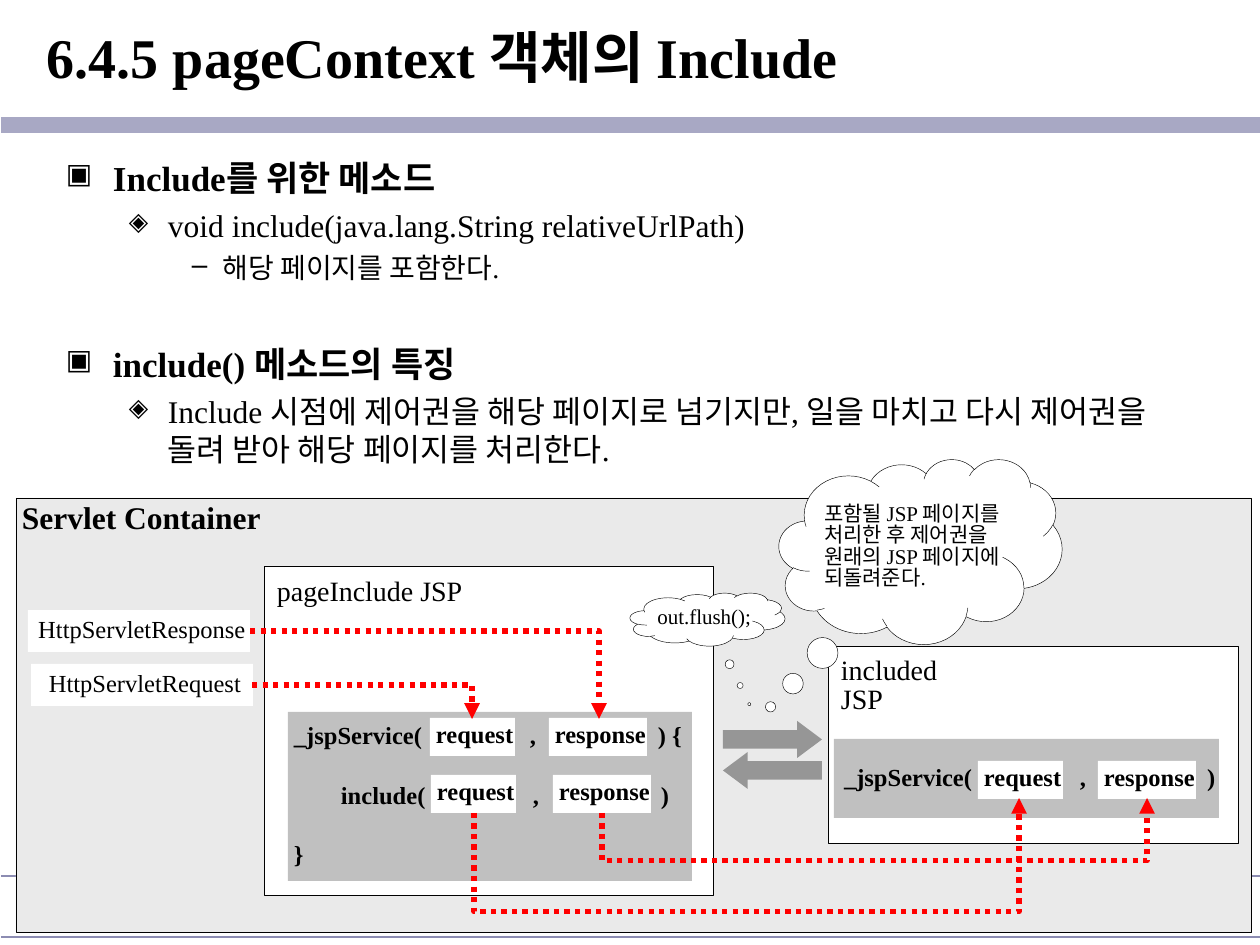
from pptx import Presentation
from pptx.dml.color import RGBColor
from pptx.enum.dml import MSO_LINE as Dash
from pptx.enum.shapes import MSO_CONNECTOR as Link, MSO_SHAPE as Shape
from pptx.enum.text import MSO_ANCHOR as Anchor, PP_ALIGN as Align
from pptx.oxml.ns import qn
from pptx.util import Pt
from lxml.etree import SubElement as Sub

SCALE = 914400 / 126
FONT = "Times New Roman"
BLACK, WHITE, RED = "000000", "FFFFFF", "FF0000"
PALE, SILVER, GRAY = "EAEAEA", "C0C0C0", "969696"
BAR, RULE = "A8A8C4", "8C8CB2"
INSET = (6, 6, 0, 6)


def px(n):
    return round(n * SCALE)


def color(code):
    return RGBColor.from_string(code)


def write(para, text, size, bold=False):
    run = para.add_run()
    run.text = text
    run.font.name = FONT
    run.font.size = Pt(size)
    run.font.bold = bold
    run.font.color.rgb = color(BLACK)


def set_frame(shape, inset=INSET, anchor=Anchor.TOP, wrap=True):
    frame = shape.text_frame
    frame.word_wrap = wrap
    frame.vertical_anchor = anchor
    (frame.margin_left, frame.margin_top,
     frame.margin_right, frame.margin_bottom) = map(px, inset)
    return frame


def add_tabs(para, stops):
    tabs = Sub(para._p.get_or_add_pPr(), qn("a:tabLst"))
    for stop in stops:
        Sub(tabs, qn("a:tab"), pos=str(px(stop)), algn="l")


def add_bullet(para, mark, percent, left, hang):
    props = para._p.get_or_add_pPr()
    props.set("marL", str(px(left)))
    props.set("indent", str(-px(hang)))
    Sub(Sub(props, qn("a:buClr")), qn("a:srgbClr"), val=BLACK)
    Sub(props, qn("a:buSzPct"), val=str(percent * 1000))
    Sub(props, qn("a:buChar"), char=mark)


def add_shape(slide, kind, box, fill, edge=False, adjust=()):
    shape = slide.shapes.add_shape(kind, *map(px, box))
    shape.shadow.inherit = False
    shape.fill.solid()
    shape.fill.fore_color.rgb = color(fill)
    if edge:
        shape.line.color.rgb = color(BLACK)
        shape.line.width = Pt(0.25)
    else:
        shape.line.fill.background()
    for i, value in enumerate(adjust):
        shape.adjustments[i] = value
    return shape


def add_label(shape, text, size, bold=False, anchor=Anchor.TOP,
              align=Align.LEFT, wrap=True):
    para = set_frame(shape, anchor=anchor, wrap=wrap).paragraphs[0]
    para.alignment = align
    para.line_spacing = 0.85
    write(para, text, size, bold)


def add_code(shape, lines, left=6):
    """Fill a code box; each line is (text, tab stops)."""
    frame = set_frame(shape, (left, 6, 0, 6), Anchor.MIDDLE)
    for i, (text, stops) in enumerate(lines):
        para = frame.add_paragraph() if i else frame.paragraphs[0]
        para.alignment = Align.LEFT
        para.line_spacing = 1.5 if i else 0.85
        if i:
            para.space_before = Pt(8.8)
        add_tabs(para, stops)
        write(para, text, 14, True)


def add_line(slide, kind, ends, hue, width):
    line = slide.shapes.add_connector(kind, *map(px, ends))
    line.line.color.rgb = color(hue)
    line.line.width = Pt(width)
    Sub(line._element.spPr, qn("a:effectLst"))
    return line


def add_arrow(slide, ends):
    arrow = add_line(slide, Link.ELBOW, ends, RED, 3)
    arrow.line.dash_style = Dash.ROUND_DOT
    Sub(arrow.line._get_or_add_ln(), qn("a:tailEnd"), type="triangle")
    return arrow._element.spPr


def add_corner(slide, ends):
    """Arrow that runs right, then down."""
    add_arrow(slide, ends).find(qn("a:prstGeom")).set("prst", "bentConnector2")


def add_loop(slide, x1, y1, x2, y2, low):
    """Arrow that runs down to low, right, then up: a turned elbow."""
    wide, tall = y1 - y2, x2 - x1
    left, top = (x1 + x2 - wide) / 2, (y1 + y2 - tall) / 2
    props = add_arrow(slide, (left, top, left + wide, top + tall))
    frame = props.find(qn("a:xfrm"))
    for key, value in (("rot", "5400000"), ("flipH", "1"), ("flipV", "1")):
        frame.set(key, value)
    guides = props.find(qn("a:prstGeom")).get_or_add_avLst()
    bend = round((y1 - low) / wide * 100000)
    Sub(guides, qn("a:gd"), name="adj1", fmla=f"val {bend}")


def add_text(slide):
    title = slide.shapes.add_textbox(*map(px, (47, 0, 1190, 113)))
    frame = set_frame(title, (0, 6, 0, 6), Anchor.MIDDLE)
    write(frame.paragraphs[0], "6.4.5 pageContext 객체의 Include", 32, True)

    levels = (("▣", 80, 47, 47, 20), ("◈", 80, 102, 39, 18),
              ("–", 100, 157, 31, 16))
    items = (
        (0, 0, "Include를 위한 메소드"),
        (1, 4.5, "void include(java.lang.String relativeUrlPath)"),
        (2, 4, "해당 페이지를 포함한다."),
        (0, 33, "include() 메소드의 특징"),
        (1, 4.5, "Include 시점에 제어권을 해당 페이지로 넘기지만, "
                 "일을 마치고 다시 제어권을 돌려 받아 해당 페이지를 처리한다."),
    )
    body = slide.shapes.add_textbox(*map(px, (53, 150, 1154, 335)))
    frame = set_frame(body, (13, 6, 13, 6))
    for i, (level, gap, text) in enumerate(items):
        para = frame.add_paragraph() if i else frame.paragraphs[0]
        if gap:
            para.space_before = Pt(gap)
        *bullet, size = levels[level]
        add_bullet(para, *bullet)
        write(para, text, size, level == 0)


def add_panels(slide):
    outer = add_shape(slide, Shape.RECTANGLE, (16, 498, 1235, 434), PALE, True)
    add_label(outer, "Servlet Container", 18, True)
    for box, spot, name in (
            ((264, 566, 449, 329), (271, 573, 192, 42), "pageInclude JSP"),
            ((828, 646, 410, 197), (835, 652, 151, 42), "included JSP")):
        add_shape(slide, Shape.RECTANGLE, box, WHITE, True)
        label = slide.shapes.add_textbox(*map(px, spot))
        add_label(label, name, 16, wrap=False)

    # Code with its arguments set at tab stops
    caller = add_shape(slide, Shape.RECTANGLE, (288, 712, 404, 169), SILVER)
    add_code(caller, (
        ("_jspService(\trequest\t,\tresponse\t) {", (142, 236, 261, 364)),
        ("\tinclude(\trequest\t,\tresponse\t)", (47, 143, 239, 264, 367)),
        ("}", ())))
    callee = add_shape(slide, Shape.RECTANGLE, (834, 739, 385, 79), SILVER)
    add_code(callee, (
        ("_jspService(\trequest\t,\tresponse\t)", (140, 236, 260, 363)),), 10)

    # HTTP objects and argument boxes
    for x, y, name in ((31, 664, "HttpServletRequest"),
                       (28, 610, "HttpServletResponse")):
        box = add_shape(slide, Shape.RECTANGLE, (x, y, 222, 42), WHITE)
        add_label(box, name, 14, anchor=Anchor.MIDDLE, align=Align.CENTER)
    for y, *lefts in ((718, 430, 549), (775, 431, 553), (761, 978, 1098)):
        for x, wide, name in zip(lefts, (85, 98), ("request", "response")):
            box = add_shape(slide, Shape.RECTANGLE, (x, y, wide, 38), WHITE)
            add_label(box, name, 14, True, wrap=False)


def add_flow(slide):
    add_corner(slide, (252, 685, 472, 719))
    add_corner(slide, (250, 631, 599, 719))
    add_loop(slide, 474, 813, 1019, 798, 912)
    add_loop(slide, 602, 813, 1147, 798, 861)
    for kind, y in ((Shape.RIGHT_ARROW, 721), (Shape.LEFT_ARROW, 752)):
        add_shape(slide, kind, (723, y, 99, 37), GRAY, adjust=(0.5, 0.67))

    # Thought clouds
    for box, adjust, text in (
            ((779, 459, 283, 185), (-0.53, 0.84),
             "포함될 JSP 페이지를 처리한 후 제어권을 원래의 "
             "JSP 페이지에 되돌려준다."),
            ((630, 593, 155, 53), (0.27, 1.6), "out.flush();")):
        cloud = add_shape(slide, Shape.CLOUD_CALLOUT, box, WHITE, True, adjust)
        add_label(cloud, text, 12, anchor=Anchor.MIDDLE)


def main():
    deck = Presentation()
    deck.slide_width, deck.slide_height = px(1260), px(945)
    slide = deck.slides.add_slide(deck.slide_layouts[6])
    # Rules across the page
    for y, hue, width in ((125, BAR, 9.25), (876, RULE, 1), (937, RULE, 1)):
        add_line(slide, Link.STRAIGHT, (1, y, 1260, y), hue, width)
    add_text(slide)
    add_panels(slide)
    add_flow(slide)
    deck.save("out.pptx")


if __name__ == "__main__":
    main()
